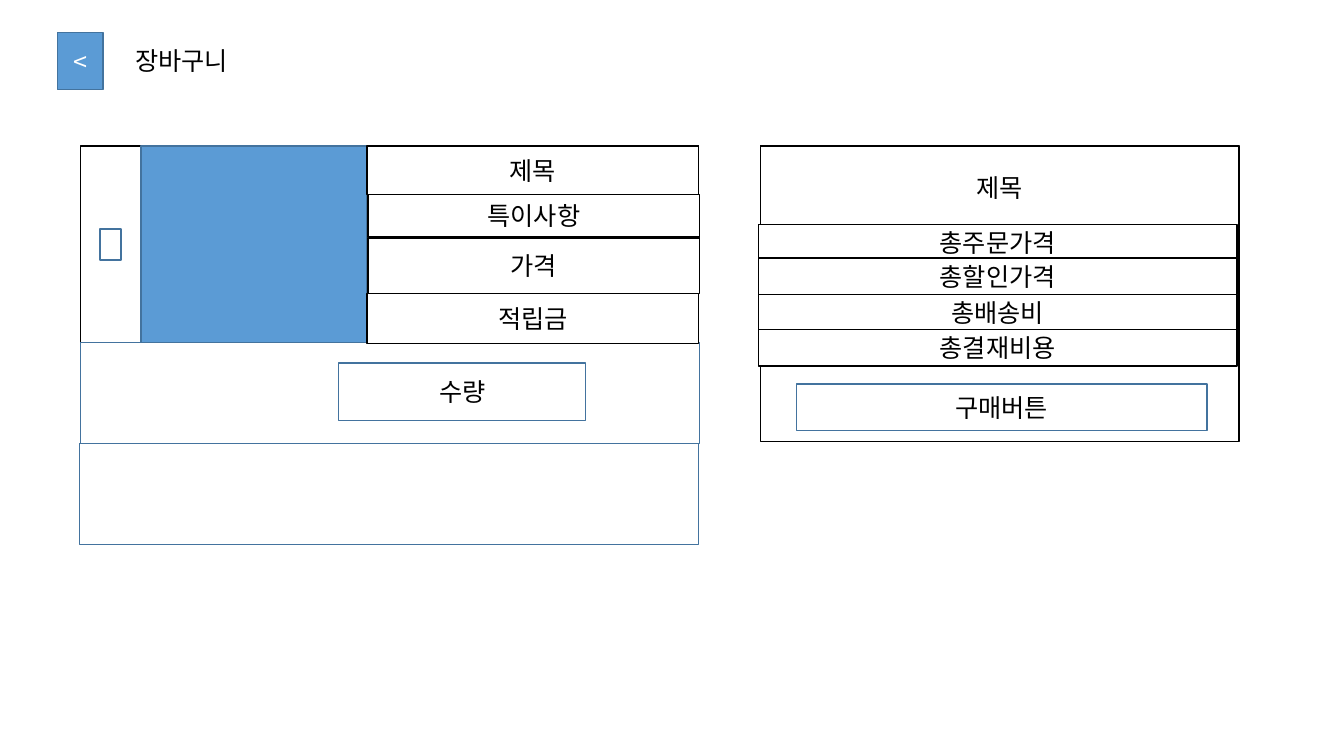
from dataclasses import dataclass

from lxml.etree import SubElement
from pptx import Presentation
from pptx.dml.color import RGBColor
from pptx.enum.shapes import MSO_SHAPE as Preset
from pptx.enum.text import MSO_ANCHOR as Anchor, MSO_AUTO_SIZE as AutoSize, PP_ALIGN as Align
from pptx.oxml.ns import qn
from pptx.util import Inches, Pt

COLUMN = ROW = Inches(0.1)
FONT = "Noto Sans CJK KR"
WHITE, BLACK, BLUE, NAVY = "FFFFFF", "000000", "5B9BD5", "43739E"

CARD_TOP = 14.5
CARD_LEFT, CARD_WIDTH = 8, 61.3
DETAIL_LEFT, DETAIL_WIDTH = 36.4, 32.9
SUMMARY_LEFT, SUMMARY_WIDTH = 75.4, 47.5
COST_LEFT, COST_HEIGHT = 75.2, 3.6
PANEL_WIDTH, PANEL_HEIGHT = 61.4, 10


@dataclass(frozen=True)
class Block:
    left: float
    top: float
    width: float
    height: float
    label: str = ""
    fill: str = WHITE
    line: str = BLACK
    ink: str = BLACK


def color(value: str) -> RGBColor:
    return RGBColor.from_string(value)


def place(shape, left: float, top: float, width: float, height: float) -> None:
    shape.left, shape.top = round(left * COLUMN), round(top * ROW)
    shape.width, shape.height = round(width * COLUMN), round(height * ROW)


def write(shape, text: str, ink: str, align: Align) -> None:
    frame = shape.text_frame
    frame.text = text
    frame.word_wrap = True
    frame.vertical_anchor = Anchor.MIDDLE
    para = frame.paragraphs[0]
    para.alignment = align
    para.line_spacing = 1.0
    for span in para.runs:
        span.font.size = Pt(18)
        span.font.name = FONT
        span.font.color.rgb = color(ink)
        SubElement(span.font._element, qn("a:ea")).set("typeface", FONT)


def draw(page, block: Block) -> None:
    box = page.shapes.add_shape(Preset.RECTANGLE, 0, 0, COLUMN, ROW)
    place(box, block.left, block.top, block.width, block.height)
    box.shadow.inherit = False
    box.fill.solid()
    box.fill.fore_color.rgb = color(block.fill)
    box.line.color.rgb = color(block.line)
    box.line.width = Pt(1)
    if block.label:
        write(box, block.label, block.ink, Align.CENTER)


def add_title(page, text: str) -> None:
    title = page.shapes.title
    write(title, text, BLACK, Align.LEFT)
    title.text_frame.auto_size = AutoSize.SHAPE_TO_FIT_TEXT
    place(title, 12.4, 4, 13.8, 4)


FRAMES = [
    Block(5.7, 3.2, 4.5, 5.7, "<", BLUE, NAVY, WHITE),
    Block(CARD_LEFT, CARD_TOP, CARD_WIDTH, 39.3),
    Block(SUMMARY_LEFT, CARD_TOP, SUMMARY_WIDTH, 29.3),
    Block(9.9, 22.7, 2.1, 3.1, line=NAVY),
    Block(14, CARD_TOP, 22.4, 19.5, fill=BLUE, line=NAVY),
    Block(7.9, 44, PANEL_WIDTH, PANEL_HEIGHT, line=NAVY),
    Block(CARD_LEFT, 34, PANEL_WIDTH, PANEL_HEIGHT, line=NAVY),
]
DETAILS = [
    Block(DETAIL_LEFT + shift, top, DETAIL_WIDTH, height, label)
    for label, shift, top, height in (
        ("제목", 0, CARD_TOP, 4.8),
        ("특이사항", 0.1, 19.3, 4.2),
        ("가격", 0.1, 23.6, 5.5),
        ("적립금", 0, 29.1, 5),
    )
]
COSTS = [
    Block(COST_LEFT, top, SUMMARY_WIDTH, COST_HEIGHT, label)
    for label, top in (
        ("총주문가격", 22.3),
        ("총할인가격", 25.6),
        ("총배송비", 29.2),
        ("총결재비용", 32.7),
    )
]
SUMMARY_TITLE = Block(SUMMARY_LEFT, CARD_TOP, SUMMARY_WIDTH, 8.2, "제목")
BUTTONS = [
    Block(33.6, 36, 24.5, 5.7, "수량", line=NAVY),
    Block(79, 38.1, 40.7, 4.6, "구매버튼", line=NAVY),
]


def main() -> None:
    deck = Presentation()
    deck.slide_width, deck.slide_height = Inches(13.33), Inches(7.5)
    page = deck.slides.add_slide(deck.slide_layouts.get_by_name("Title Only"))
    add_title(page, "장바구니")
    for block in [*FRAMES, *DETAILS, SUMMARY_TITLE, *COSTS, *BUTTONS]:
        draw(page, block)
    deck.save("out.pptx")


if __name__ == "__main__":
    main()
